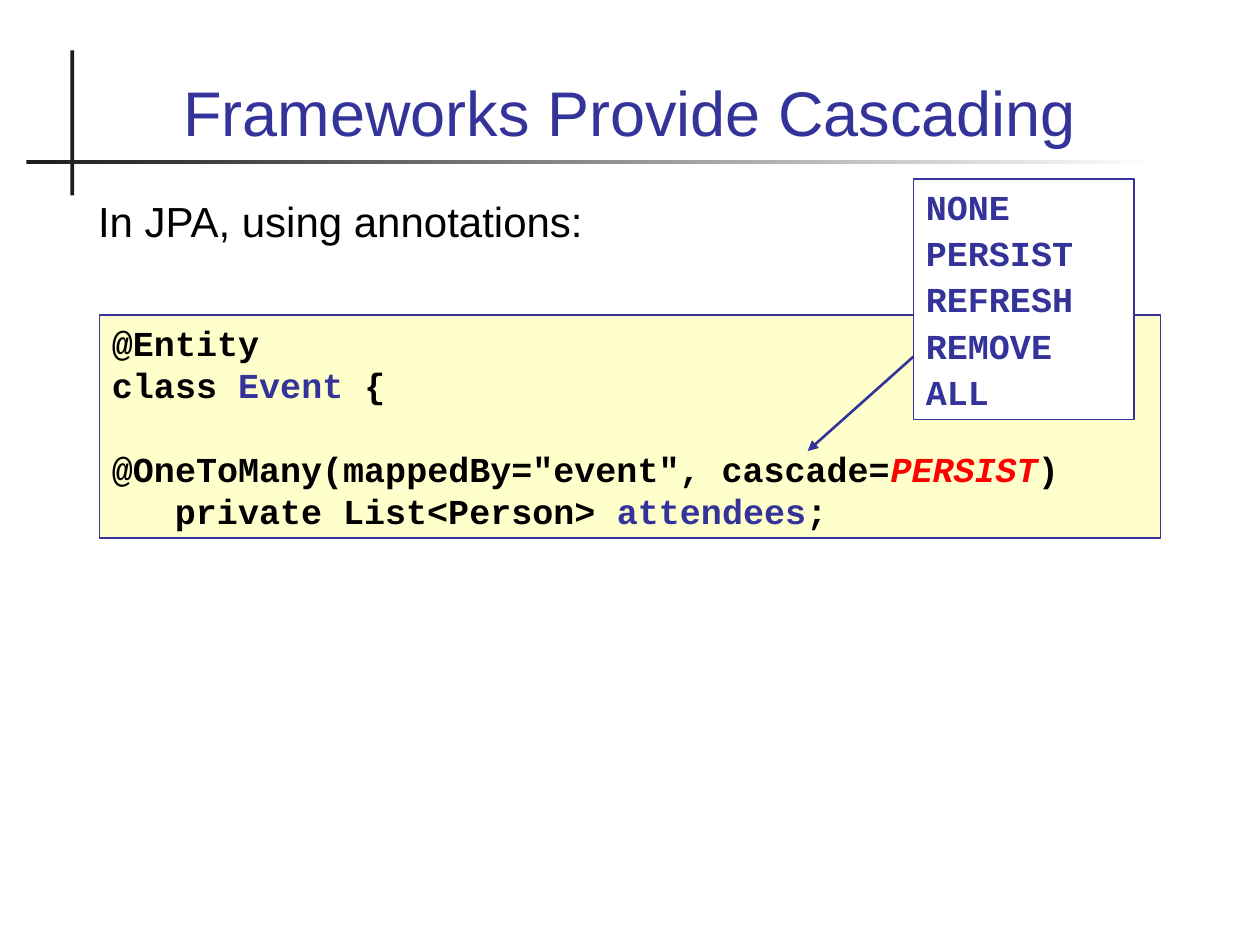
import pptx
import pptx.util
import pptx.dml.color
import pptx.enum.shapes
import pptx.enum.text
import pptx.oxml.ns
import lxml.etree

RGBColor = pptx.dml.color.RGBColor
INDIGO = RGBColor(0x33, 0x33, 0x99)
CREAM = RGBColor(0xFF, 0xFF, 0xCC)
CHARCOAL = RGBColor(0x1C, 0x1C, 0x1C)
BLACK = RGBColor(0, 0, 0)
RED = RGBColor(0xFF, 0, 0)
WHITE = RGBColor(0xFF, 0xFF, 0xFF)

Pt = pptx.util.Pt
RECTANGLE = pptx.enum.shapes.MSO_SHAPE.RECTANGLE
ALIGN = pptx.enum.text.PP_ALIGN
ANCHOR = pptx.enum.text.MSO_ANCHOR

CODE_LINE = 24  # height of one code line, in points
CODE_CHAR = 12  # width of one code character, in points


class SlideBuilder:
    """Places elements on a grid of one-inch columns and rows."""

    columns, rows = 10, 7.5
    title = {"name": "Arial", "size": Pt(36), "color": INDIGO}
    body = {"name": "Arial", "size": Pt(24), "color": BLACK}
    code = {"name": "Courier New", "size": Pt(20), "bold": True, "color": BLACK}
    keyword = {**code, "color": INDIGO}
    emphasis = {**code, "color": RED, "italic": True}

    def __init__(self, deck):
        deck.slide_width = pptx.util.Inches(self.columns)
        deck.slide_height = pptx.util.Inches(self.rows)
        self.cell = deck.slide_width // self.columns
        self.page = deck.slides.add_slide(deck.slide_layouts[6])

    def place(self, *cells):
        return [round(cell * self.cell) for cell in cells]

    def bar(self, area, fade=False):
        bar = self.page.shapes.add_shape(RECTANGLE, *self.place(*area))
        bar.shadow.inherit = False
        bar.line.fill.background()
        if fade:
            bar.fill.gradient()
            bar.fill.gradient_angle = 0
            for stop, color in zip(bar.fill.gradient_stops, (CHARCOAL, WHITE)):
                stop.color.rgb = color
        else:
            bar.fill.solid()
            bar.fill.fore_color.rgb = CHARCOAL

    def fill_text(self, box, paragraphs, anchor=ANCHOR.TOP):
        """Each paragraph is (spans, format); each span is (text, style)."""
        frame = box.text_frame
        frame.word_wrap = True
        frame.vertical_anchor = anchor
        for index, (spans, layout) in enumerate(paragraphs):
            para = frame.add_paragraph() if index else frame.paragraphs[0]
            settings = {"alignment": ALIGN.LEFT, **layout}
            indent = settings.pop("indent", None)
            for name, value in settings.items():
                setattr(para, name, value)
            if indent:
                margin, first_line = indent
                properties = para._p.get_or_add_pPr()
                properties.set("marL", str(margin))
                properties.set("indent", str(first_line))
            for text, style in spans:
                span = para.add_run()
                span.text = text
                for name, value in style.items():
                    if name == "color":
                        span.font.color.rgb = value
                    else:
                        setattr(span.font, name, value)

    def text(self, area, paragraphs, anchor=ANCHOR.TOP):
        box = self.page.shapes.add_textbox(*self.place(*area))
        self.fill_text(box, paragraphs, anchor)

    def panel(self, area, fill, paragraphs):
        box = self.page.shapes.add_shape(RECTANGLE, *self.place(*area))
        box.shadow.inherit = False
        box.fill.solid()
        box.fill.fore_color.rgb = fill
        box.line.color.rgb = INDIGO
        box.line.width = Pt(0.75)
        self.fill_text(box, paragraphs)

    def arrow(self, start, end):
        arrow = self.page.shapes.add_connector(
            pptx.enum.shapes.MSO_CONNECTOR.STRAIGHT, *self.place(*start, *end))
        arrow.line.color.rgb = INDIGO
        arrow.line.width = Pt(1.5)
        qn = pptx.oxml.ns.qn
        line = arrow.line._get_or_add_ln()
        lxml.etree.SubElement(line, qn("a:tailEnd"), type="triangle")
        lxml.etree.SubElement(arrow._element.spPr, qn("a:effectLst"))


def main():
    deck = pptx.Presentation()
    slide = SlideBuilder(deck)
    code, keyword = slide.code, slide.keyword

    # Crossed rules behind the title
    slide.bar((0.56, 0.4, 0.03, 1.15))
    slide.bar((0.21, 1.27, 8.99, 0.03), fade=True)

    # Title and lead-in
    slide.text((0.67, 0.28, 8.66, 0.95),
               [([("Frameworks Provide Cascading", slide.title)], {"alignment": ALIGN.CENTER})],
               ANCHOR.BOTTOM)
    slide.text((0.67, 1.5, 8.66, 0.58),
               [([("In JPA, using annotations:", slide.body)],
                 {"space_before": Pt(12), "indent": (Pt(18), Pt(-17.28))})])

    # Annotated class
    slide.panel((0.79, 2.5, 8.42, 1.77), CREAM, [
        ([("@Entity", code)], {}),
        ([("class ", code), ("Event", keyword), (" {", code)], {}),
        ([('@OneToMany(mappedBy="event", cascade=', code), ("PERSIST", slide.emphasis),
          (")", code)], {"space_before": Pt(CODE_LINE)}),
        ([("private List<Person> ", code), ("attendees", keyword), (";", code)],
         {"indent": (Pt(3 * CODE_CHAR), 0)}),
    ])

    # Cascade options, pointing at the chosen one
    options = ["NONE", "PERSIST", "REFRESH", "REMOVE", "ALL"]
    slide.panel((7.25, 1.42, 1.75, 1.91), WHITE,
                [([(option, keyword)], {"space_before": Pt(2.5)}) for option in options])
    slide.arrow((7.25, 2.83), (6.41, 3.58))

    deck.save("out.pptx")


if __name__ == "__main__":
    main()
